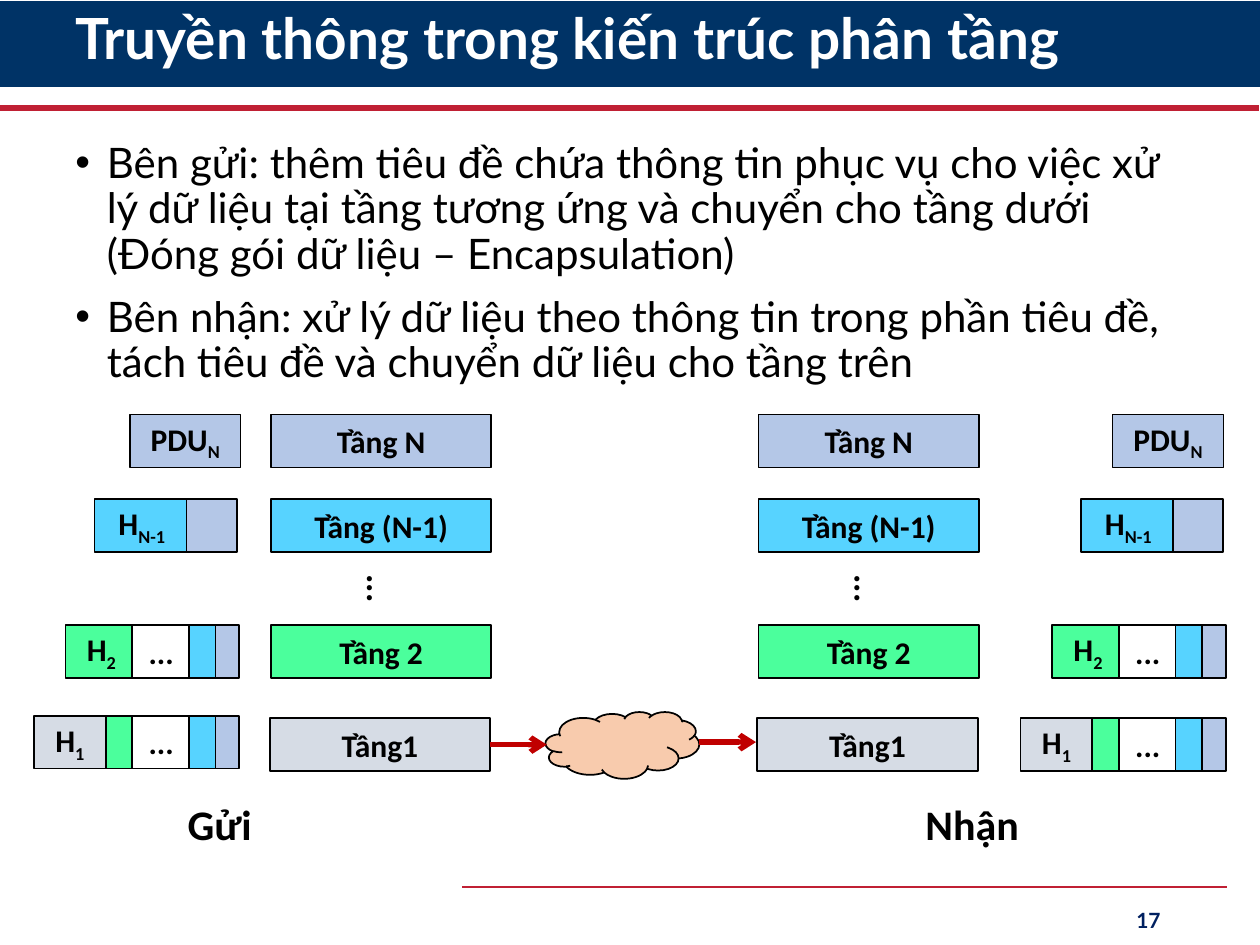
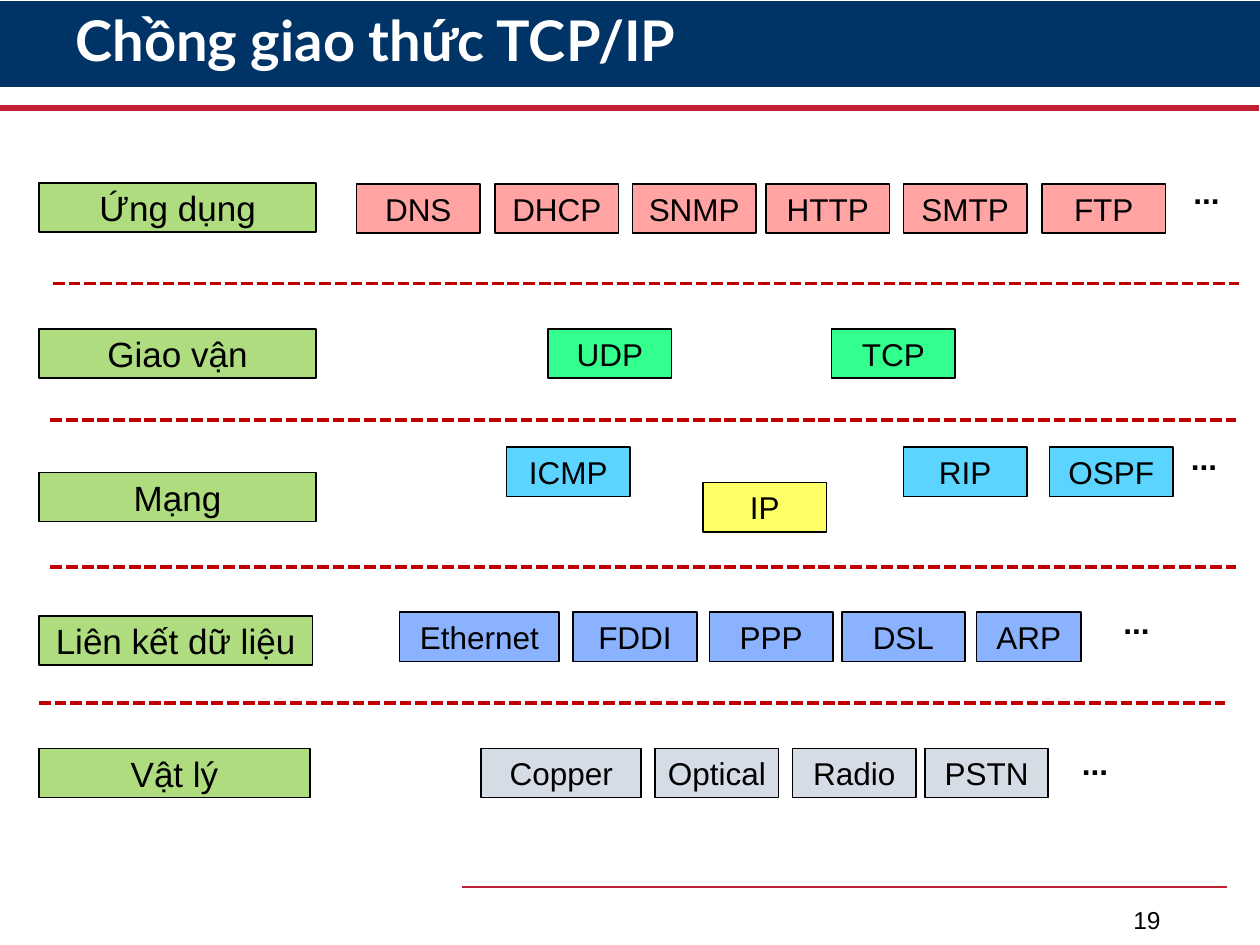
"""Build two slides on layered network architecture and the TCP/IP stack."""
import lxml.etree
import pptx
import pptx.dml.color
import pptx.enum.dml
import pptx.enum.shapes
import pptx.enum.text
import pptx.oxml.ns
import pptx.util

COLS, ROWS = 10, 7.5
HUES = {
    "navy": "003366", "crimson": "C02034", "red": "C00000", "ink": "002060",
    "black": "000000", "white": "FFFFFF", "lilac": "B4C7E7", "sky": "57D3FF",
    "mint": "4BFF9C", "gray": "D6DCE5", "peach": "F8CBAD", "pink": "FFA3A3",
    "green": "33FF8F", "cyan": "5BD4FF", "yellow": "FFFF66", "blue": "8BB2FF",
    "lime": "AFDC7E",
}
ALIGN = pptx.enum.text.PP_ALIGN
ANCHOR = pptx.enum.text.MSO_ANCHOR
SHAPE = pptx.enum.shapes.MSO_SHAPE
DASH = pptx.enum.dml.MSO_LINE.SQUARE_DOT


def hue(name):
    return pptx.dml.color.RGBColor.from_string(HUES[name])


def add(node, tag, **attrs):
    return lxml.etree.SubElement(node, pptx.oxml.ns.qn(tag), attrs)


def write(shape, text, size=18, font="Calibri", color="black", bold=False,
          align=ALIGN.LEFT, anchor=ANCHOR.TOP, wrap=True, lead=None,
          gap=None, bullet=None):
    frame = shape.text_frame
    frame.word_wrap = wrap
    frame.vertical_anchor = anchor
    for row, part in enumerate(text.split("\n")):
        para = frame.add_paragraph() if row else frame.paragraphs[0]
        para.alignment = align
        if lead:
            para.line_spacing = lead
        if gap:
            para.space_before = pptx.util.Pt(gap)
        if bullet:
            props = para._p.get_or_add_pPr()
            inch = pptx.util.Inches(0.25)
            props.set("marL", str(inch))
            props.set("indent", str(-inch))
            add(props, "a:buFont", typeface="Arial")
            add(props, "a:buChar", char=bullet)
        for low, word in enumerate(part.split("_")):
            run = para.add_run()
            run.text = word
            run.font.size = pptx.util.Pt(size)
            run.font.name = font
            run.font.bold = bold
            run.font.color.rgb = hue(color)
            if low:
                run._r.get_or_add_rPr().set("baseline", "-25000")


class Deck:
    def __init__(self):
        self.show = pptx.Presentation()
        self.show.slide_width = pptx.util.Inches(10)
        self.show.slide_height = pptx.util.Inches(7.5)
        self.slide = None
        self.font, self.bold = "Calibri", True

    def grid(self, x, y):
        return (round(self.show.slide_width * x / COLS),
                round(self.show.slide_height * y / ROWS))

    def page(self, title, big, tall, num, **style):
        self.slide = self.show.slides.add_slide(self.show.slide_layouts[6])
        self.box(0, 0.01, COLS, 0.68, "navy", edge=None)
        self.line(-0.01, 0.86, 9.99, 0.86, "crimson", 3.5)
        self.line(3.67, 7.04, 9.74, 7.04, "crimson", 1.5)
        self.note(0.5, 0, 8.25, tall, title, size=big, font="Lato",
                  color="white", bold=True, anchor=ANCHOR.MIDDLE, lead=0.9)
        self.note(7.06, 7.1, 2.25, 0.4, num, align=ALIGN.RIGHT,
                  anchor=ANCHOR.MIDDLE, **style)

    def box(self, x, y, w, h, fill, text="", kind=SHAPE.RECTANGLE,
            edge="black", size=18):
        shape = self.slide.shapes.add_shape(
            kind, *self.grid(x, y), *self.grid(w, h))
        shape.shadow.inherit = False
        shape.fill.solid()
        shape.fill.fore_color.rgb = hue(fill)
        if edge:
            shape.line.color.rgb = hue(edge)
            shape.line.width = pptx.util.Pt(1)
        else:
            shape.line.fill.background()
        if text:
            write(shape, text, size=size, font=self.font, bold=self.bold,
                  align=ALIGN.CENTER, anchor=ANCHOR.MIDDLE, wrap=False)

    def note(self, x, y, w, h, text, turn=0, **style):
        shape = self.slide.shapes.add_textbox(
            *self.grid(x, y), *self.grid(w, h))
        shape.rotation = turn
        write(shape, text, **style)

    def line(self, x, y, to_x, to_y, color, width, dash=None, arrow=False):
        link = self.slide.shapes.add_connector(
            pptx.enum.shapes.MSO_CONNECTOR.STRAIGHT,
            *self.grid(x, y), *self.grid(to_x, to_y))
        link.line.color.rgb = hue(color)
        link.line.width = pptx.util.Pt(width)
        if dash:
            link.line.dash_style = dash
        props = link._element.spPr
        if arrow:
            add(props.find(pptx.oxml.ns.qn("a:ln")), "a:tailEnd", type="arrow")
        add(props, "a:effectLst")


def layers(deck):
    deck.page("Truyền thông trong kiến trúc phân tầng", 32.4, 0.65, "17",
              size=12, font="Lato", color="ink", bold=True)
    deck.note(0.5, 1.08, 9, 2.42,
              "Bên gửi: thêm tiêu đề chứa thông tin phục vụ cho việc xử lý "
              "dữ liệu tại tầng tương ứng và chuyển cho tầng dưới "
              "(Đóng gói dữ liệu – Encapsulation)\n"
              "Bên nhận: xử lý dữ liệu theo thông tin trong phần tiêu đề, "
              "tách tiêu đề và chuyển dữ liệu cho tầng trên",
              size=24, font="Lato", lead=0.9, gap=10, bullet="•")
    tall = 0.42
    tiers = [("Tầng N", 3.29, "lilac", 0), ("Tầng (N-1)", 3.96, "sky", 0),
             ("Tầng 2", 4.96, "mint", 0), ("Tầng1", 5.7, "gray", -0.01)]
    for left in (2.15, 6.02):
        for name, top, fill, nudge in tiers:
            deck.box(left + nudge, top, 1.75, tall, fill, name)
        deck.note(left + 0.58, 4.53, 0.58, 0.44, "...", turn=90,
                  size=20, bold=True)

    rest = [(1.05, 0.46, "white", "..."), (1.68, 0.22, "lilac", ""),
            (1.5, 0.21, "sky", "")]
    packs = [
        (3.29, 3.29, 7.8, [(1.03, 0.88, "lilac", "PDU_N")]),
        (3.96, 3.96, 7.83, [(0.75, 0.75, "sky", "H_N-1"),
                            (1.48, 0.4, "lilac", "")]),
        (4.96, 4.96, 7.83, [(0.52, 0.57, "mint", "H_2"), *rest]),
        (5.68, 5.7, 7.83, [(0.8, 0.28, "mint", ""), *rest,
                           (0.27, 0.57, "gray", "H_1")]),
    ]
    for sent, got, shift, cells in packs:
        for top, move in ((sent, 0), (got, shift)):
            for left, wide, fill, text in cells:
                deck.box(left + move, top, wide, tall, fill, text)

    deck.box(4.33, 5.65, 1.22, 0.53, "peach", kind=SHAPE.CLOUD)
    for left, top in ((3.89, 5.91), (5.55, 5.89)):
        deck.line(left, top, left + 0.45, top, "red", 3, arrow=True)
    deck.note(1.39, 6.29, 1.64, 0.5, "Gửi", size=24, bold=True)
    deck.note(6.59, 6.29, 2.25, 0.5, "Nhận", size=24, bold=True,
              align=ALIGN.CENTER)


def stack(deck):
    deck.font, deck.bold = "Arial", False
    deck.page("Chồng giao thức TCP/IP", 32, 0.69, "19", size=14, font="Arial")
    tall, wide = 0.39, 0.98
    names = [("Ứng dụng", 1.45, 2.2), ("Giao vận", 2.61, 2.2),
             ("Mạng", 3.75, 2.2), ("Liên kết dữ liệu", 4.89, 2.17),
             ("Vật lý", 5.94, 2.15)]
    for name, top, span in names:
        deck.box(0.31, top, span, tall, "lime", name, size=20)

    rows = [
        (1.46, "pink", {"DNS": 2.83, "DHCP": 3.93, "SNMP": 5.02,
                        "HTTP": 6.08, "SMTP": 7.17, "FTP": 8.27}),
        (2.61, "green", {"UDP": 4.35, "TCP": 6.6}),
        (3.55, "cyan", {"ICMP": 4.02, "RIP": 7.17, "OSPF": 8.33}),
        (3.83, "yellow", {"IP": 5.58}),
        (4.86, "blue", {"Ethernet": 3.17, "FDDI": 4.55, "PPP": 5.63,
                        "DSL": 6.68, "ARP": 7.75}),
        (5.94, "gray", {"Copper": 3.82, "Optical": 5.2, "Radio": 6.29,
                        "PSTN": 7.34}),
    ]
    spans = {"Ethernet": 1.27, "Copper": 1.27, "ARP": 0.83}
    for top, fill, cells in rows:
        for name, left in cells.items():
            deck.box(left, top, spans.get(name, wide), tall, fill, name)

    for left, top, span in ((9.33, 1.33, 0.49), (9.31, 3.44, 0.49),
                            (8.75, 4.74, 0.54), (8.42, 5.86, 0.54)):
        deck.note(left, top, span, tall, "...", font="Arial", bold=True,
                  align=ALIGN.CENTER, anchor=ANCHOR.MIDDLE)
    for left, top in ((0.42, 2.25), (0.4, 3.33), (0.4, 4.5), (0.31, 5.58)):
        deck.line(left, top, left + 9.41, top, "red", 2.25, dash=DASH)


def main():
    deck = Deck()
    layers(deck)
    stack(deck)
    deck.show.save("out.pptx")


if __name__ == "__main__":
    main()
